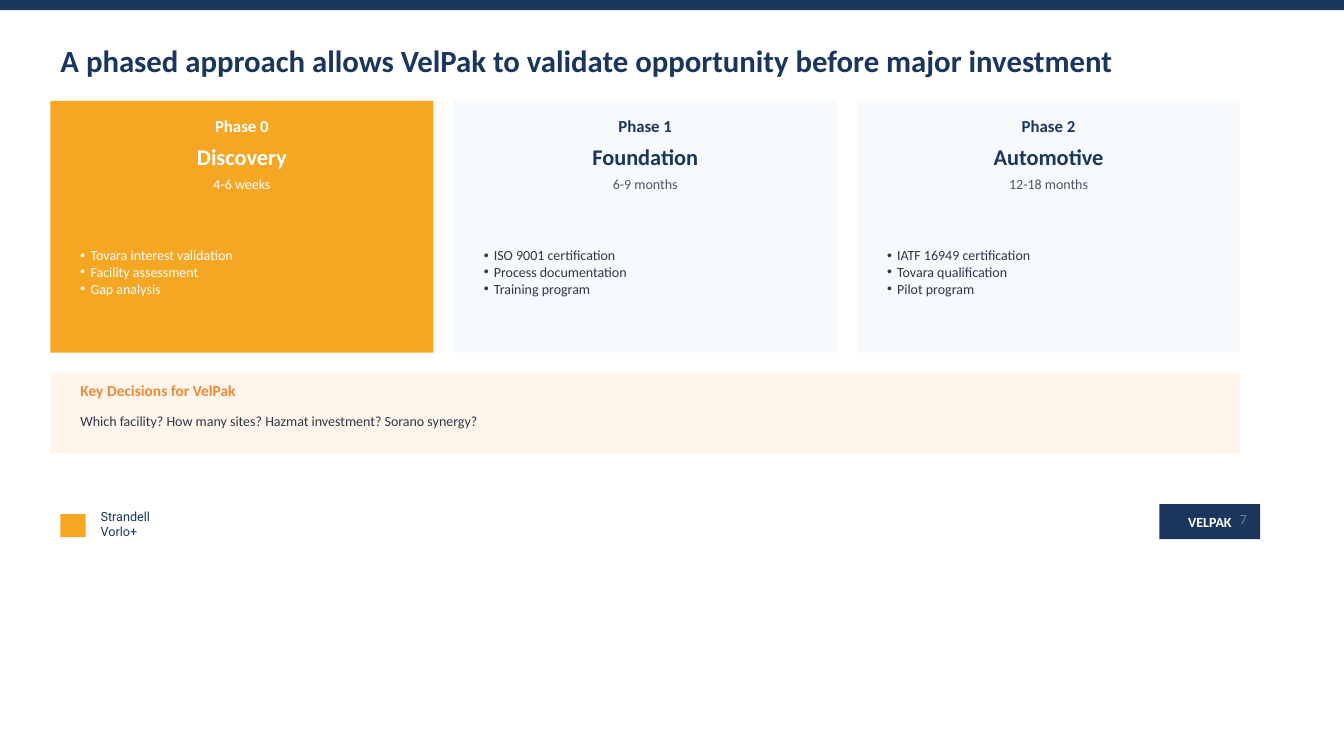
from lxml import etree
from pptx import Presentation
from pptx.dml.color import RGBColor
from pptx.enum.shapes import MSO_SHAPE
from pptx.enum.text import MSO_ANCHOR, MSO_AUTO_SIZE, PP_ALIGN
from pptx.oxml.ns import qn
from pptx.util import Inches, Pt

RECT = MSO_SHAPE.RECTANGLE
MIDDLE = MSO_ANCHOR.MIDDLE
LEFT, CENTER = PP_ALIGN.LEFT, PP_ALIGN.CENTER
NO_FIT = MSO_AUTO_SIZE.NONE

COLORS = {
    "navy": "1A365D", "orange": "F5A623", "white": "FFFFFF",
    "pale": "F7FAFC", "cream": "FFF5EB", "amber": "ED8936",
    "slate": "4A5568", "ink": "2D3748", "gray": "718096",
}

TITLE = "A phased approach allows VelPak to validate opportunity before major investment"
PHASES = [
    ("Phase 0", "Discovery", "4-6 weeks",
     ["Tovara interest validation", "Facility assessment", "Gap analysis"]),
    ("Phase 1", "Foundation", "6-9 months",
     ["ISO 9001 certification", "Process documentation", "Training program"]),
    ("Phase 2", "Automotive", "12-18 months",
     ["IATF 16949 certification", "Tovara qualification", "Pilot program"]),
]
ACTIVE = {"fill": "orange", "head": "white", "time": "white", "body": "white"}
LATER = {"fill": "pale", "head": "navy", "time": "slate", "body": "ink"}
ASK_HEAD = "Key Decisions for VelPak"
ASK_TEXT = "Which facility? How many sites? Hazmat investment? Sorano synergy?"
FIRM = ["Strandell", "Vorlo+"]
CLIENT = "VELPAK"
PAGE = "7"

EDGE, TOP, CARD_W, CARD_H, GAP, PAD = 0.5, 1, 3.8, 2.5, 0.2, 0.2
FULL_W = 3 * CARD_W + 2 * GAP
ASK_Y = TOP + CARD_H + GAP
FOOT_Y = 5

deck = Presentation()
deck.slide_width, deck.slide_height = Inches(13.33), Inches(7.5)
slide = deck.slides.add_slide(deck.slide_layouts[5])


def rgb(name):
    return RGBColor.from_string(COLORS[name])


def add_box(x, y, w, h, fill):
    box = slide.shapes.add_shape(RECT, Inches(x), Inches(y), Inches(w), Inches(h))
    box.shadow.inherit = False
    box.fill.solid()
    box.fill.fore_color.rgb = rgb(fill)
    box.line.fill.background()
    return box


def add_area(x, y, w, h):
    return slide.shapes.add_textbox(Inches(x), Inches(y), Inches(w), Inches(h))


def add_dot(para):
    props = para._p.get_or_add_pPr()
    props.set("marL", str(Inches(0.1)))
    props.set("indent", str(-Inches(0.1)))
    etree.SubElement(props, qn("a:buFont")).set("typeface", "Arial")
    etree.SubElement(props, qn("a:buChar")).set("char", "•")


def write(shape, text, size=10, color="ink", bold=False, align=LEFT,
          font="Calibri", dots=False):
    frame = shape.text_frame
    frame.word_wrap = True
    frame.auto_size = NO_FIT
    frame.vertical_anchor = MIDDLE
    lines = [text] if isinstance(text, str) else text
    for i, line in enumerate(lines):
        para = frame.add_paragraph() if i else frame.paragraphs[0]
        para.alignment = align
        run = para.add_run()
        run.text = line
        run.font.name = font
        run.font.size = Pt(size)
        run.font.bold = bold
        run.font.color.rgb = rgb(color)
        if dots:
            add_dot(para)


add_box(0, 0, 13.33, 0.1, "navy")

title = slide.shapes.title
title.left, title.top = Inches(EDGE), Inches(0.3)
title.width, title.height = Inches(12), Inches(0.6)
write(title, TITLE, size=22, color="navy", bold=True)

for i, (phase, name, time, tasks) in enumerate(PHASES):
    look = LATER if i else ACTIVE
    x = EDGE + i * (CARD_W + GAP)
    add_box(x, TOP, CARD_W, CARD_H, look["fill"])
    rows = [
        (phase, 0.1, 0.3, 12, look["head"], True),
        (name, 0.4, 0.3, 16, look["head"], True),
        (time, 0.7, 0.25, 10, look["time"], False),
    ]
    for text, drop, h, size, color, bold in rows:
        write(add_area(x, TOP + drop, CARD_W, h), text, size=size,
              color=color, bold=bold, align=CENTER)
    write(add_area(x + PAD, TOP + 1, CARD_W - 2 * PAD, 1.4), tasks,
          color=look["body"], dots=True)

add_box(EDGE, ASK_Y, FULL_W, 0.8, "cream")
ask_x, ask_w = EDGE + PAD, FULL_W - 2 * PAD
write(add_area(ask_x, ASK_Y + 0.05, ask_w, 0.25), ASK_HEAD, size=11,
      color="amber", bold=True)
write(add_area(ask_x, ASK_Y + 0.3, ask_w, 0.35), ASK_TEXT)

add_box(0.6, FOOT_Y + 0.1, 0.25, 0.23, "orange")
write(add_area(0.9, FOOT_Y, 1, 0.4), FIRM, size=9, color="navy", font="Roboto")
write(add_box(11.5, FOOT_Y, 1, 0.35, "navy"), CLIENT, color="white",
      bold=True, align=CENTER)
write(add_area(12.2, FOOT_Y, 0.3, 0.3), PAGE, color="gray")

deck.save("out.pptx")
